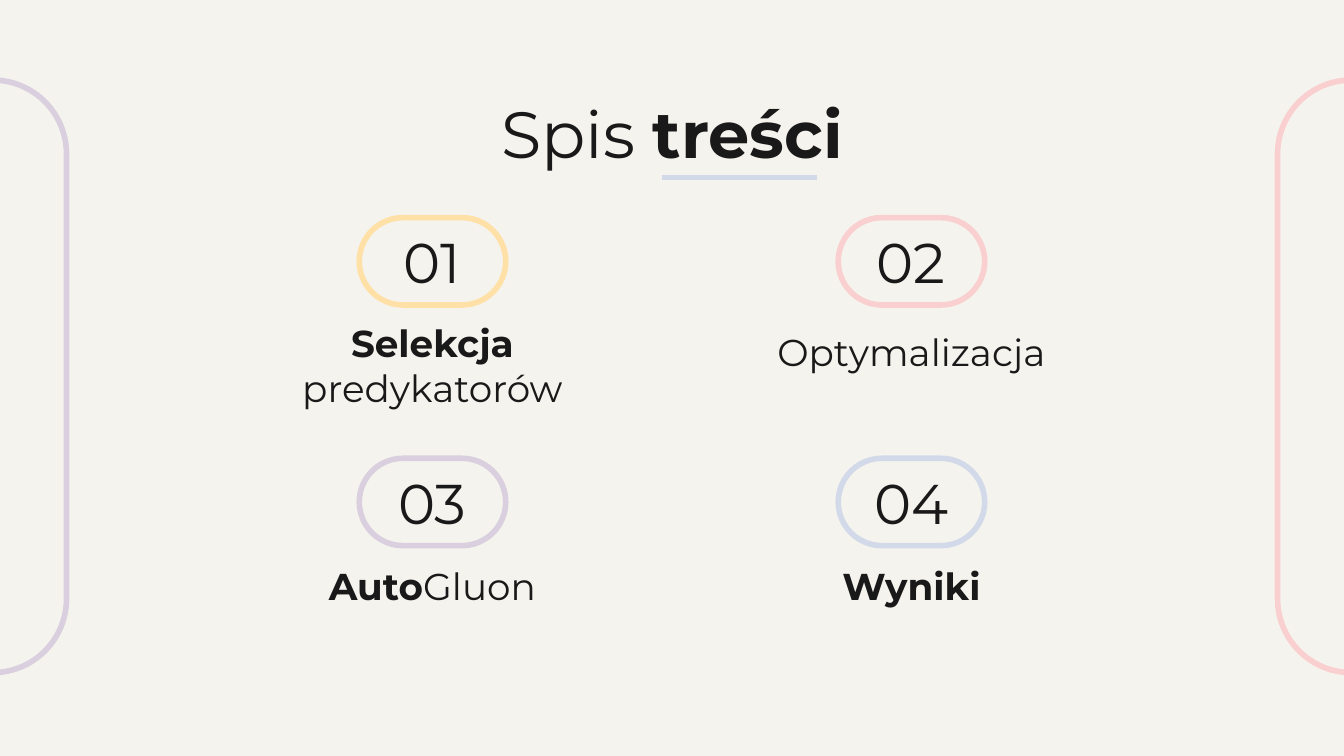
import dataclasses

import pptx
import pptx.dml.color
import pptx.enum.shapes
import pptx.enum.text
import pptx.oxml.ns
import pptx.util

Pt = pptx.util.Pt
Anchor = pptx.enum.text.MSO_ANCHOR


@dataclasses.dataclass(frozen=True)
class Theme:
    font: str = "Montserrat"
    background: str = "F5F3ED"
    ink: str = "191919"
    yellow: str = "FFE0A7"
    pink: str = "F9CFD0"
    lilac: str = "D9CFDE"
    blue: str = "D2DAE9"
    title_size: float = 35
    number_size: float = 30
    caption_size: float = 20
    outline: float = 3
    inset: float = 7.2


@dataclasses.dataclass(frozen=True)
class Box:
    left: float
    top: float
    width: float
    height: float

    def lengths(self):
        return [Pt(value) for value in dataclasses.astuple(self)]

    def centered(self, top, width, height):
        return Box(self.left + (self.width - width) / 2, self.top + top, width, height)


THEME = Theme()


def rgb(color):
    return pptx.dml.color.RGBColor.from_string(color)


def write(holder, runs, size, anchor):
    frame = holder.text_frame
    frame.word_wrap = True
    frame.auto_size = pptx.enum.text.MSO_AUTO_SIZE.NONE
    frame.vertical_anchor = anchor
    frame.margin_left = frame.margin_right = Pt(THEME.inset)
    frame.margin_top = frame.margin_bottom = Pt(THEME.inset)
    paragraph = frame.paragraphs[0]
    paragraph.alignment = pptx.enum.text.PP_ALIGN.CENTER
    paragraph.font.name = THEME.font
    paragraph.font.size = Pt(size)
    paragraph.font.color.rgb = rgb(THEME.ink)
    for words, bold in runs:
        run = paragraph.add_run()
        run.text = words
        run.font.bold = bold


def add_text(slide, box, runs, size, anchor):
    write(slide.shapes.add_textbox(*box.lengths()), runs, size, anchor)


def add_pill(slide, box, color, rotation=0):
    pill = slide.shapes.add_shape(
        pptx.enum.shapes.MSO_SHAPE.ROUNDED_RECTANGLE, *box.lengths())
    pill.adjustments[0] = 0.5
    pill.rotation = rotation
    pill.shadow.inherit = False
    pill.fill.background()
    pill.line.color.rgb = rgb(color)
    pill.line.width = Pt(THEME.outline)


def add_side_pills(slide, box):
    length, thickness, overhang = 317.5, 79.2, 4
    for center, color in ((box.left - overhang, THEME.lilac),
                          (box.left + box.width + overhang, THEME.pink)):
        pill_box = Box(center - length / 2, box.top + 162, length, thickness)
        add_pill(slide, pill_box, color, rotation=90)


def add_heading(slide, box):
    heading = slide.shapes.title
    heading.left, heading.top, heading.width, heading.height = box.lengths()
    write(heading, [("Spis ", False), ("treści", True)], THEME.title_size, Anchor.TOP)

    start, y = box.left + 298, box.top + 52.5
    underline = slide.shapes.add_connector(
        pptx.enum.shapes.MSO_CONNECTOR.STRAIGHT,
        Pt(start), Pt(y), Pt(start + 83), Pt(y))
    underline.line.color.rgb = rgb(THEME.blue)
    underline.line.width = Pt(THEME.outline)
    properties = underline._element.spPr
    properties.append(properties.makeelement(pptx.oxml.ns.qn("a:effectLst"), {}))


def add_entry(slide, box, number, caption, caption_top, color):
    add_pill(slide, box.centered(0, 78.5, 46.8), color)
    add_text(slide, box.centered(-1.8, 55.4, 46.8), [(number, False)],
             THEME.number_size, Anchor.TOP)
    add_text(slide, box.centered(caption_top, box.width, 41.8), caption,
             THEME.caption_size, Anchor.BOTTOM)


def add_contents(slide, box):
    entries = (
        ([("Selekcja ", True), ("predykatorów", False)], 68.4, THEME.yellow),
        ([("Optymalizacja", False)], 49, THEME.pink),
        ([("Auto", True), ("Gluon", False)], 45.4, THEME.lilac),
        ([("Wyniki", True)], 45.4, THEME.blue),
    )
    width, height, row_step = 223.2, 87, 128.9
    for index, (caption, caption_top, color) in enumerate(entries):
        row, column = divmod(index, 2)
        entry_box = Box(box.left + column * (box.width - width),
                        box.top + row * row_step, width, height)
        add_entry(slide, entry_box, f"{index + 1:02}", caption, caption_top, color)


def main():
    deck = pptx.Presentation()
    deck.slide_width, deck.slide_height = Pt(720), Pt(405)
    slide = deck.slides.add_slide(deck.slide_layouts.get_by_name("Title Only"))
    slide.background.fill.solid()
    slide.background.fill.fore_color.rgb = rgb(THEME.background)
    add_side_pills(slide, Box(0, 0, 720, 405))
    add_heading(slide, Box(56.7, 42.5, 606.6, 45.4))
    add_contents(slide, Box(120.1, 116.6, 479.8, 215.9))
    deck.save("out.pptx")


if __name__ == "__main__":
    main()
